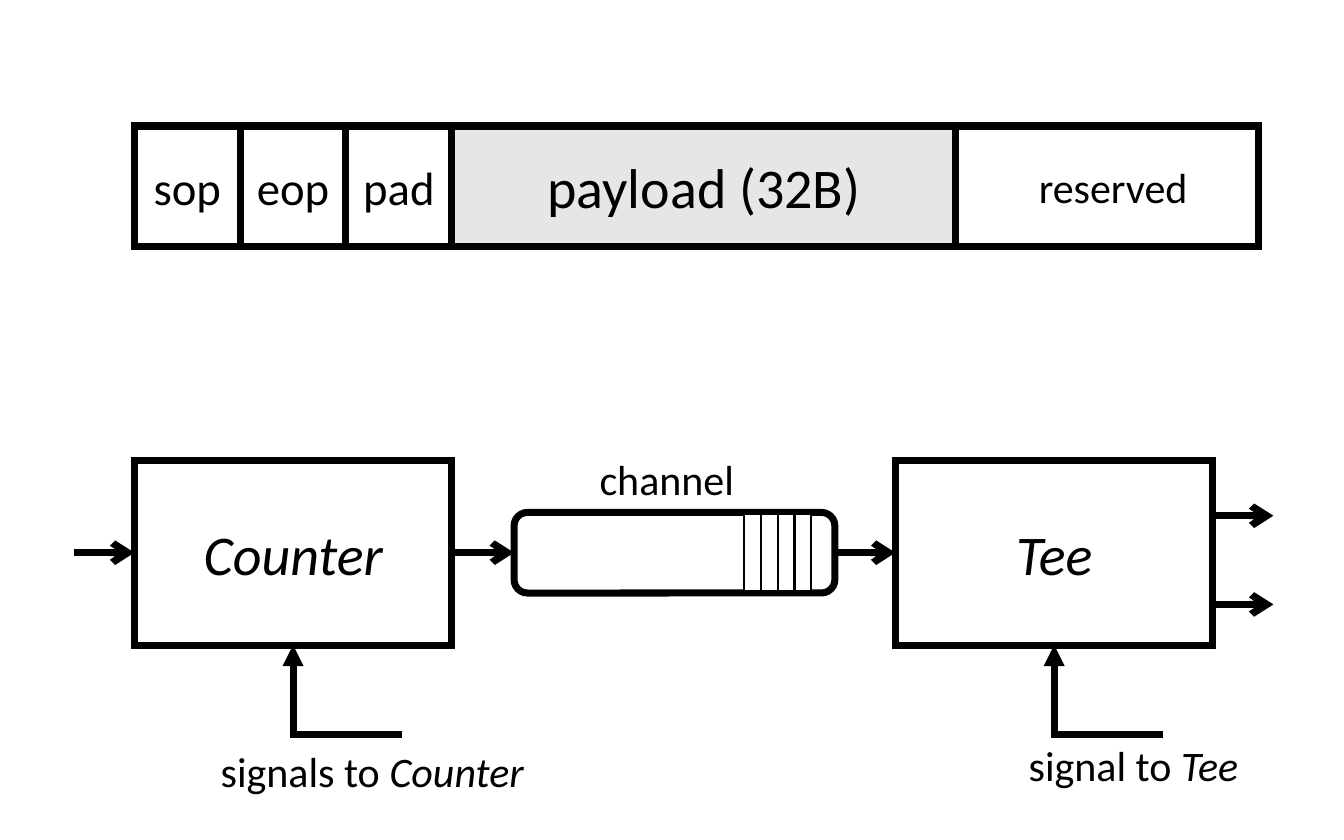
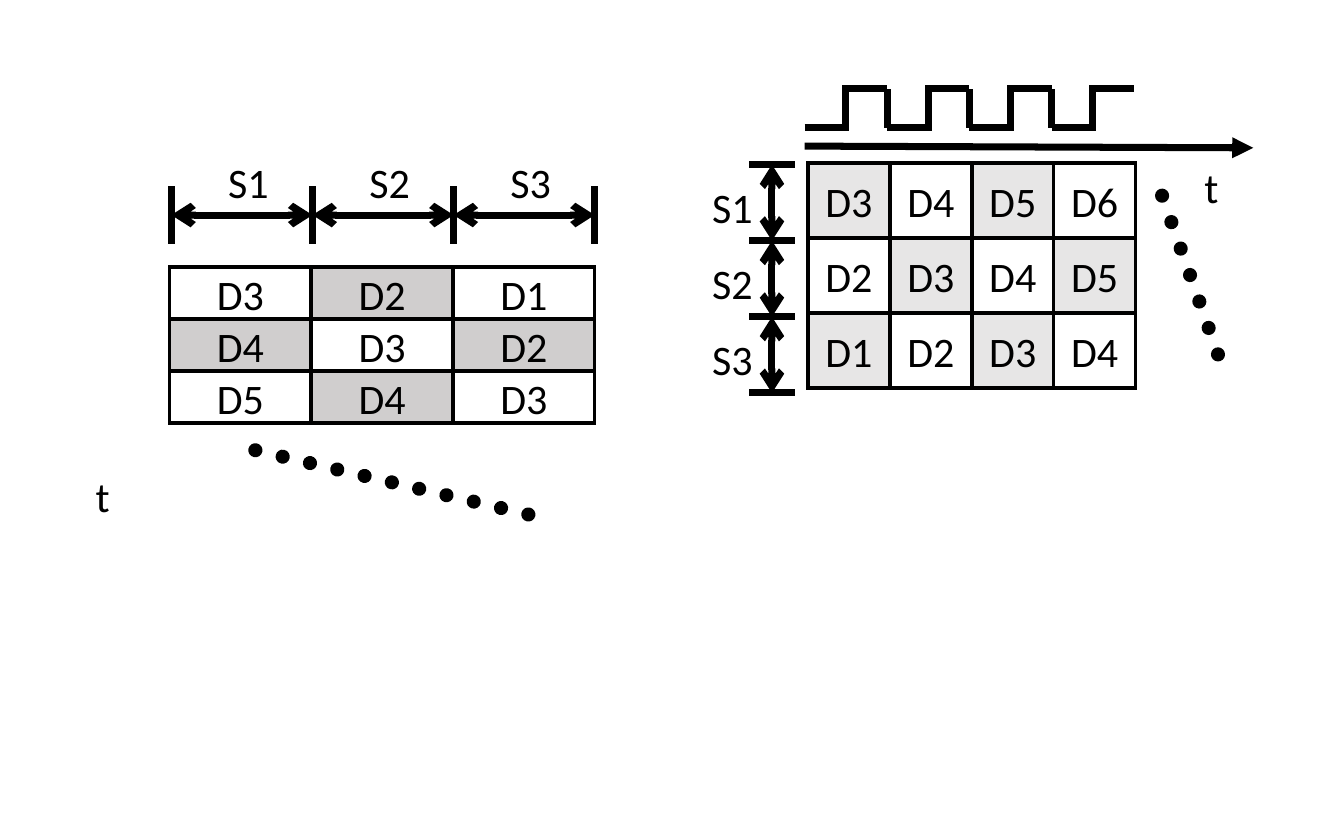
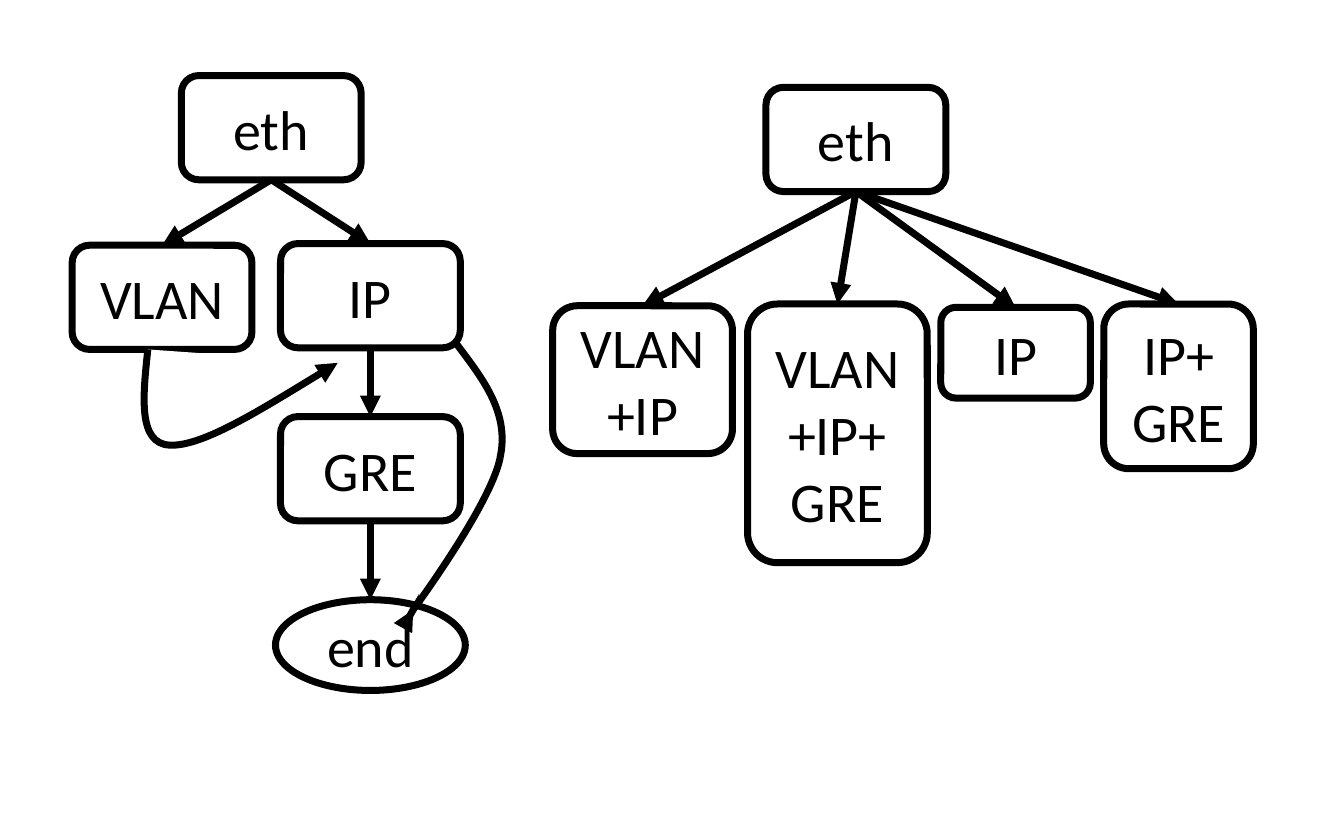
from lxml.etree import SubElement
from pptx import Presentation
from pptx.dml.color import RGBColor
from pptx.enum.dml import MSO_LINE
from pptx.enum.shapes import MSO_CONNECTOR, MSO_SHAPE
from pptx.enum.text import MSO_ANCHOR, MSO_AUTO_SIZE, PP_ALIGN
from pptx.oxml.ns import qn
from pptx.util import Inches, Pt

BLACK = RGBColor(0x00, 0x00, 0x00)
WHITE = RGBColor(0xFF, 0xFF, 0xFF)
PALE = RGBColor(0xE7, 0xE6, 0xE6)
GREY = RGBColor(0xD0, 0xCE, 0xCE)
FONT = "Calibri"
TOP, LEFT, BOTTOM, RIGHT = range(4)


def add_run(p, text, size, italic=False):
    """Add one run in the shared font."""
    r = p.add_run()
    r.text = text
    r.font.name, r.font.size, r.font.italic = FONT, Pt(size), italic
    r.font.color.rgb = BLACK


def style_line(sp, weight=3, head=None, tail=None, dash=None):
    """Give a shape or connector its black outline and arrowheads."""
    sp.line.color.rgb = BLACK
    sp.line.width = Pt(weight)
    if dash:
        sp.line.dash_style = dash
    ln = sp.element.spPr.find(qn("a:ln"))
    if dash:
        ln.set("cap", "rnd")
    SubElement(ln, qn("a:miter"), lim="800000")
    for tag, kind in (("a:headEnd", head), ("a:tailEnd", tail)):
        if kind:
            SubElement(ln, qn(tag), type=kind)


def add_box(s, x, y, w, h, text="", size=24, kind=MSO_SHAPE.RECTANGLE,
            fill=WHITE, weight=3, italic=False, inset=0.1):
    """Add an outlined shape with centred text."""
    sp = s.shapes.add_shape(kind, *map(Inches, (x, y, w, h)))
    sp.shadow.inherit = False
    sp.fill.solid()
    sp.fill.fore_color.rgb = fill
    style_line(sp, weight)
    if text:
        tf = sp.text_frame
        tf.word_wrap = True
        tf.vertical_anchor = MSO_ANCHOR.MIDDLE
        tf.margin_left = tf.margin_right = Inches(inset)
        p = tf.paragraphs[0]
        p.alignment = PP_ALIGN.CENTER
        add_run(p, text, size, italic)
    return sp


def add_label(s, x, y, w, text, italic_part=""):
    """Add a one-line label, with an italic ending if given."""
    tf = s.shapes.add_textbox(*map(Inches, (x, y, w, 0.4))).text_frame
    tf.word_wrap = False
    tf.auto_size = MSO_AUTO_SIZE.SHAPE_TO_FIT_TEXT
    add_run(tf.paragraphs[0], text, 18)
    if italic_part:
        add_run(tf.paragraphs[0], italic_part, 18, True)


def add_line(s, start, end, bend=None, **style):
    """Connect two ends, each a point or a (shape, side) pair."""
    joined = [not isinstance(e[0], (int, float)) for e in (start, end)]
    points = [(0, 0) if j else e for j, e in zip(joined, (start, end))]
    kind = MSO_CONNECTOR.ELBOW if bend else MSO_CONNECTOR.STRAIGHT
    cxn = s.shapes.add_connector(kind, *map(Inches, points[0] + points[1]))
    if joined[0]:
        cxn.begin_connect(*start)
    if joined[1]:
        cxn.end_connect(*end)
    if bend:
        cxn.element.spPr.find(qn("a:prstGeom")).set("prst", bend)
    style_line(cxn, **style)
    SubElement(cxn.element.spPr, qn("a:effectLst"))


def add_curve(s, points, filled=False):
    """Draw an arrow through a start point and cubic Bézier triples."""
    pts = [(Inches(x), Inches(y)) for x, y in points]
    fb = s.shapes.build_freeform(*pts[0])
    fb.add_line_segments(pts[1:], close=False)
    sp = fb.convert_to_shape()
    lines = list(sp.element.iter(qn("a:lnTo")))
    for i in range(0, len(lines), 3):
        curve = SubElement(lines[i].getparent(), qn("a:cubicBezTo"))
        for ln in lines[i:i + 3]:
            curve.append(ln[0])
            ln.getparent().remove(ln)
    sp.shadow.inherit = False
    if filled:
        sp.fill.solid()
        sp.fill.fore_color.rgb = WHITE
    else:
        sp.fill.background()
    style_line(sp, tail="triangle")


def packet(s, x, y, w, h):
    """Draw the packet word and its fields."""
    flag = 0.63
    add_box(s, x, y, w, h)
    add_box(s, x + 3 * flag, y, 3, h, "payload (32B)", fill=PALE)
    for i, name in enumerate(("sop", "eop", "pad")):
        add_box(s, x + i * flag, y, flag, h, name, 20, inset=0)
    add_label(s, x + 0.79 * w, y + 0.16, 1.1, "reserved")


def stage(s, x, y, w, h, name, signal, dx, dy, label_w):
    """Draw a processing stage with its signal arrow from below."""
    sp = add_box(s, x, y, w, h, name, italic=True)
    mid, foot = x + w / 2, y + h
    add_line(s, (mid + 0.65, foot + 0.53), (mid, foot),
             "bentConnector2", tail="triangle")
    add_label(s, mid + dx, foot + dy, label_w, signal, name)
    return sp


def channel(s, x, y, w, h):
    """Draw a queue with its slots."""
    sp = add_box(s, x, y, w, h, kind=MSO_SHAPE.ROUNDED_RECTANGLE)
    add_label(s, x + 0.41, y - 0.4, 1.01, "channel")
    for i in range(4):
        add_box(s, x + 1.67 - 0.1 * i, y + 0.01, 0.1, h - 0.02, weight=1)
    return sp


def pipeline(s, x, y, w, h):
    """Draw two stages linked by a channel."""
    box_w, reach, mid = 1.89, 0.36, y + h / 2
    counter = stage(s, x, y, box_w, h, "Counter", "signals to ",
                    -0.53, 0.55, 2.02)
    tee_x = x + w - box_w
    tee = stage(s, tee_x, y, box_w, h, "Tee", "signal to ", -0.25, 0.51, 1.46)
    queue = channel(s, x + 2.26, mid - 0.24, 1.91, 0.48)
    ends = [((x - reach, mid), (counter, LEFT)),
            ((counter, RIGHT), (queue, LEFT)), ((queue, RIGHT), (tee, LEFT))]
    ends += [((x + w, y + h * k), (x + w + reach, y + h * k))
             for k in (0.3, 0.78)]
    for start, end in ends:
        add_line(s, start, end, tail="arrow")


def ruler(s, x, y, pitch, tick, label_at, vertical=False):
    """Mark three equal spans S1 to S3 with ticks and double arrows."""
    def at(along, across):
        return (x + across, y + along) if vertical else (x + along, y + across)

    for i in range(4):
        add_line(s, at(i * pitch, 0), at(i * pitch, tick))
    for i in range(3):
        add_line(s, at(i * pitch, tick / 2), at((i + 1) * pitch, tick / 2),
                 head="arrow", tail="arrow")
        add_label(s, *at(i * pitch + label_at[0], label_at[1]), 0.45,
                  f"S{i + 1}")


def data_grid(s, x, y, w, h, cols, step, shade, shaded):
    """Fill three rows of cells, chequered, numbered along the diagonal."""
    cw, ch = w / cols, h / 3
    for r in range(3):
        for c in range(cols):
            add_box(s, x + c * cw, y + r * ch, cw, ch,
                    f"D{3 + step * (r - c)}", 18, weight=1.5, inset=0,
                    fill=shade if (r + c) % 2 == shaded else WHITE)


def clock(s, x, y, period, h, count):
    """Draw a square wave of the given number of periods."""
    for i in range(count):
        left = x + i * period
        add_line(s, (left, y + h), (left + period, y), "bentConnector3")
        if i:
            add_line(s, (left, y), (left, y + h))


def by_rows(s, x, y):
    """Draw the data layout with time running down."""
    ruler(s, x + 0.01, y, 0.84, 0.34, (0.24, -0.23))
    data_grid(s, x, y + 0.48, 2.53, 0.93, 3, 1, GREY, 1)
    add_label(s, x - 0.54, y + 1.64, 0.29, "t")
    add_line(s, (x + 0.51, y + 1.57), (x + 2.21, y + 1.97),
             weight=6, dash=MSO_LINE.ROUND_DOT)


def by_columns(s, x, y):
    """Draw the data layout with time running right under a clock."""
    add_line(s, (x - 0.02, y - 0.1), (x + 2.65, y - 0.09), tail="triangle")
    ruler(s, x - 0.35, y + 0.01, 0.453, 0.27, (0.05, -0.32), True)
    data_grid(s, x, y, 1.95, 1.34, 4, -1, PALE, 0)
    add_line(s, (x + 2.44, y + 1.14), (x + 2.06, y + 0.06),
             weight=6, dash=MSO_LINE.ROUND_DOT)
    add_label(s, x + 2.26, y - 0.06, 0.29, "t")
    clock(s, x - 0.02, y - 0.44, 0.49, 0.23, 4)


def node(s, x, y, text, w=1.07, h=0.62, kind=MSO_SHAPE.ROUNDED_RECTANGLE):
    """Add one node of a parse graph."""
    return add_box(s, x, y, w, h, text, kind=kind)


def link(s, a, b):
    """Point from the foot of one node to the top of another."""
    add_line(s, (a, BOTTOM), (b, TOP), tail="triangle")


def parse_graph(s, x, y):
    """Draw the parse graph with shared headers."""
    eth = node(s, x + 0.65, y, "eth")
    vlan = node(s, x, y + 1.01, "VLAN")
    ip = node(s, x + 1.24, y + 1, "IP")
    gre = node(s, x + 1.24, y + 2.03, "GRE")
    end = node(s, x + 1.21, y + 3.12, "end", 1.13, 0.54, MSO_SHAPE.OVAL)
    for a, b in ((eth, vlan), (ip, gre), (eth, ip), (gre, end)):
        link(s, a, b)
    skip = [(2.29, 1.6), (2.44, 1.8), (2.6, 2), (2.55, 2.26), (2.51, 2.53),
            (2.03, 3.18), (2.03, 3.18), (1.94, 3.34), (1.99, 3.26),
            (2.03, 3.18)]
    loop = [(0.45, 1.63), (0.42, 1.91), (0.39, 2.19), (0.58, 2.2),
            (0.77, 2.21), (1.17, 1.96), (1.58, 1.71)]
    for points, filled in ((skip, False), (loop, True)):
        add_curve(s, [(x + dx, y + dy) for dx, dy in points], filled)


def parse_tree(s, x, y):
    """Draw the parse tree with one leaf for each header stack."""
    eth = node(s, x + 1.27, y, "eth")
    leaves = [(0, 1.3, "VLAN+IP", 1.07, 0.88),
              (1.16, 1.29, "VLAN+IP+GRE", 1.07, 1.54),
              (2.31, 1.31, "IP", 0.89, 0.54),
              (3.28, 1.29, "IP+GRE", 0.89, 0.98)]
    for dx, dy, text, w, h in leaves:
        link(s, eth, node(s, x + dx, y + dy, text, w, h))


def main():
    """Build the three slides and save them."""
    prs = Presentation()
    prs.slide_width, prs.slide_height = Inches(8), Inches(5)
    slides = [prs.slides.add_slide(prs.slide_layouts[6]) for _ in range(3)]
    pipeline(slides[0], 0.8, 2.74, 6.42, 1.1)
    packet(slides[0], 0.8, 0.75, 6.69, 0.72)
    by_rows(slides[1], 1.01, 1.11)
    by_columns(slides[1], 4.81, 0.97)
    parse_graph(slides[2], 0.43, 0.45)
    parse_tree(slides[2], 3.29, 0.52)
    prs.save("out.pptx")


if __name__ == "__main__":
    main()
